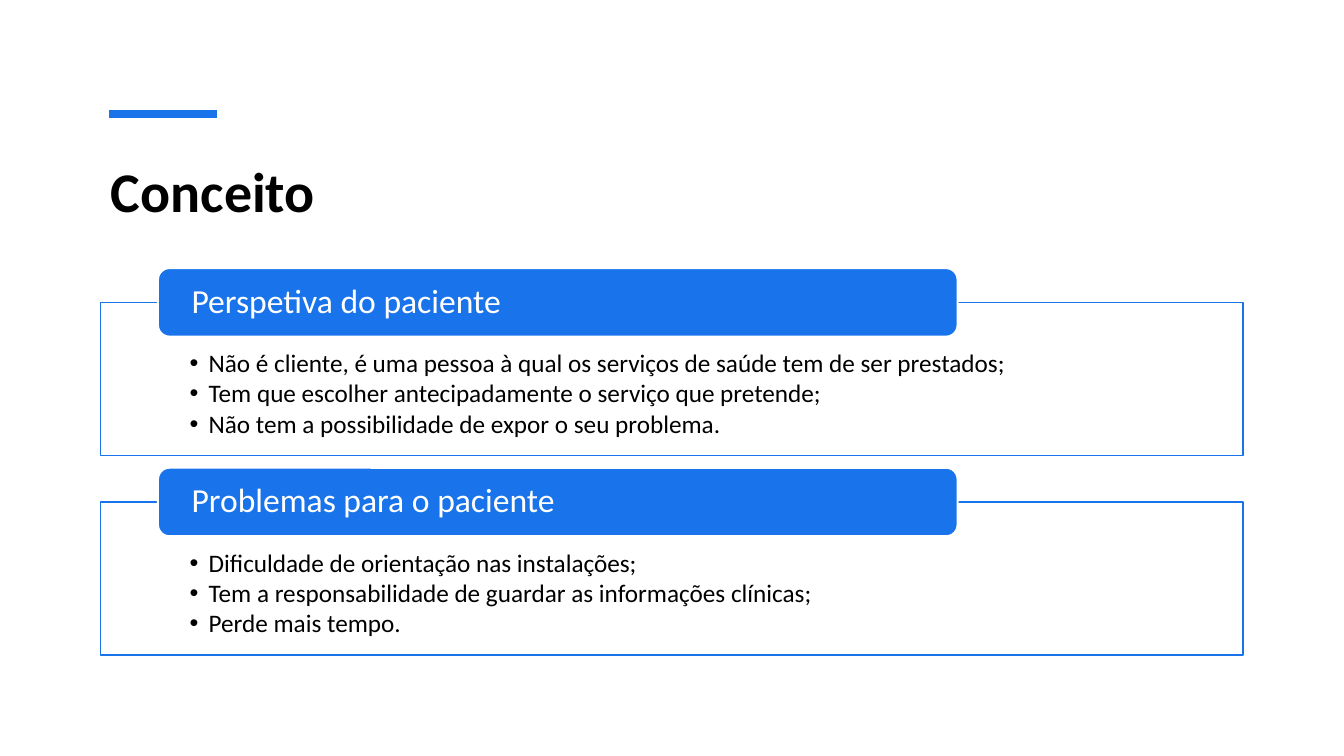
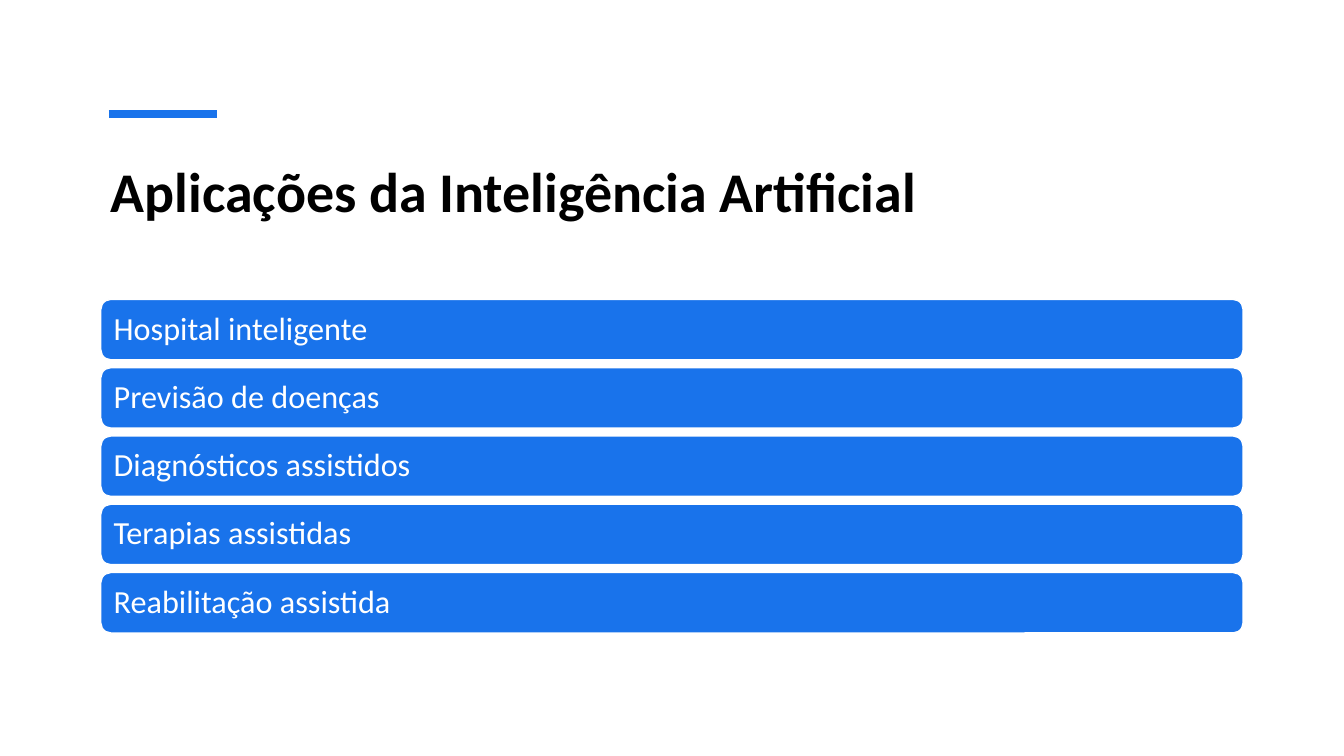
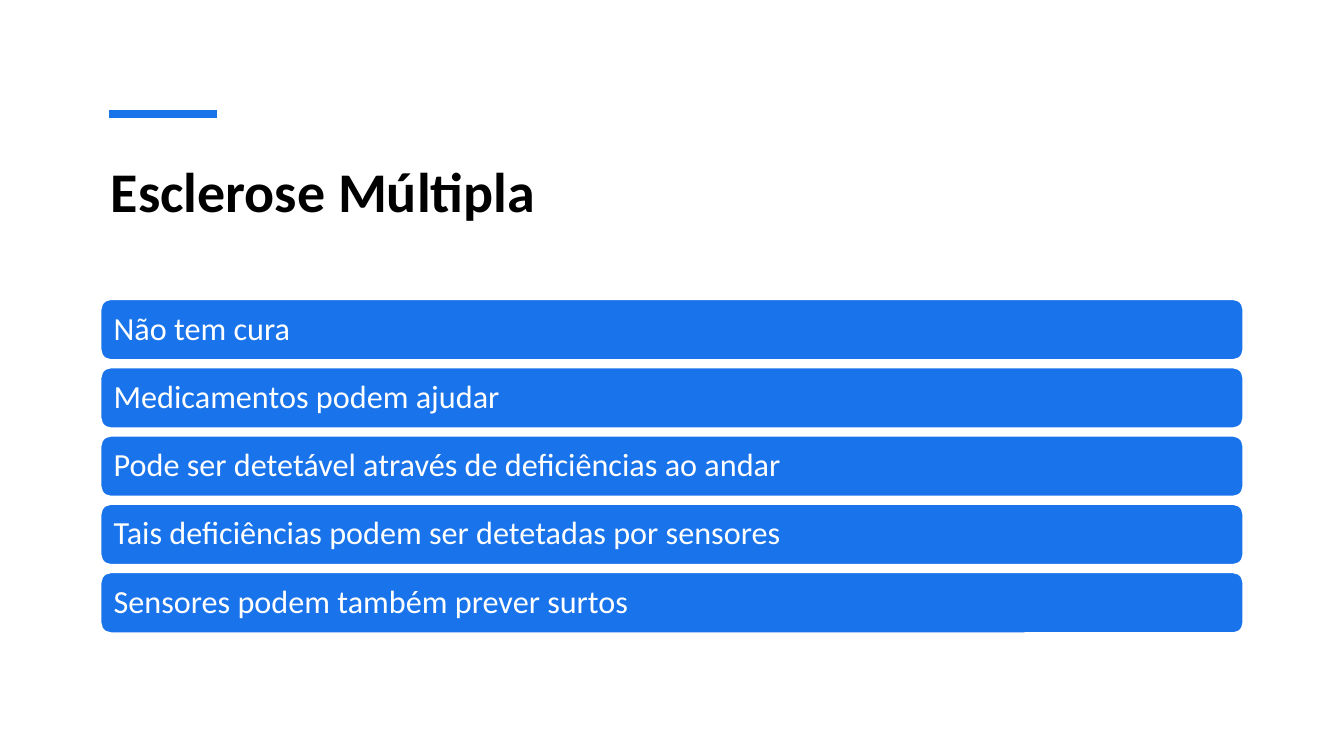
from lxml.etree import SubElement
from pptx import Presentation
from pptx.dml.color import RGBColor
from pptx.enum.shapes import MSO_CONNECTOR, MSO_SHAPE
from pptx.enum.text import MSO_ANCHOR, PP_ALIGN
from pptx.oxml.ns import qn
from pptx.util import Inches, Pt

CONCEPT = ("Conceito", [
    ("Perspetiva do paciente", [
        "Não é cliente, é uma pessoa à qual os serviços de saúde tem de ser prestados;",
        "Tem que escolher antecipadamente o serviço que pretende;",
        "Não tem a possibilidade de expor o seu problema.",
    ]),
    ("Problemas para o paciente", [
        "Dificuldade de orientação nas instalações;",
        "Tem a responsabilidade de guardar as informações clínicas;",
        "Perde mais tempo.",
    ]),
])
TOPICS = [
    ("Aplicações da Inteligência Artificial", [
        "Hospital inteligente",
        "Previsão de doenças",
        "Diagnósticos assistidos",
        "Terapias assistidas",
        "Reabilitação assistida",
    ]),
    ("Esclerose Múltipla", [
        "Não tem cura",
        "Medicamentos podem ajudar",
        "Pode ser detetável através de deficiências ao andar",
        "Tais deficiências podem ser detetadas por sensores",
        "Sensores podem também prever surtos",
    ]),
]

COLORS = {"accent": "1973EB", "paper": "FFFFFF", "ink": "000000"}
FONT = "Calibri"
WIDTH, HEIGHT = 13.33, 7.5
MARGIN = 1
CONTENT_WIDTH = WIDTH - 2 * MARGIN


def color(name):
    return RGBColor.from_string(COLORS[name])


def write(shape, lines, size, ink="paper", bold=False, anchor=MSO_ANCHOR.MIDDLE,
          insets=(0.1, 0.1, 0.1, 0.1), spacing=0.9, after=0, hanging=0):
    frame = shape.text_frame
    frame.word_wrap = True
    frame.vertical_anchor = anchor
    (frame.margin_left, frame.margin_top,
     frame.margin_right, frame.margin_bottom) = map(Inches, insets)
    frame.text = "\n".join(lines)
    for paragraph in frame.paragraphs:
        paragraph.alignment = PP_ALIGN.LEFT
        paragraph.line_spacing = spacing
        paragraph.space_before = Pt(0)
        paragraph.space_after = Pt(after)
        paragraph.font.name = FONT
        paragraph.font.size = Pt(size)
        paragraph.font.bold = bold
        paragraph.font.color.rgb = color(ink)
        if hanging:
            properties = paragraph._p.get_or_add_pPr()
            properties.set("marL", str(Inches(hanging)))
            properties.set("indent", str(-Inches(hanging)))
            bullet_font = properties.makeelement(qn("a:buFont"), {"typeface": "Arial"})
            bullet = properties.makeelement(qn("a:buChar"), {"char": "•"})
            default_run = properties.find(qn("a:defRPr"))
            for mark in (bullet_font, bullet):
                if default_run is None:
                    properties.append(mark)
                else:
                    default_run.addprevious(mark)


def add_box(slide, kind, left, top, width, height, fill, outline, weight):
    box = slide.shapes.add_shape(kind, *map(Inches, (left, top, width, height)))
    box.shadow.inherit = False
    box.fill.solid()
    box.fill.fore_color.rgb = color(fill)
    box.line.color.rgb = color(outline)
    box.line.width = Pt(weight)
    return box


def add_titled_slide(deck, heading):
    slide = deck.slides.add_slide(deck.slide_layouts[5])
    title = slide.shapes.title
    title.left, title.top, title.width, title.height = map(
        Inches, (MARGIN, HEIGHT * 0.2, CONTENT_WIDTH, 1.44))
    write(title, [heading], 40, ink="ink", bold=True, anchor=MSO_ANCHOR.TOP,
          insets=(0.1, 0.05, 0.1, 0.05), spacing=1)
    accent = slide.shapes.add_connector(
        MSO_CONNECTOR.STRAIGHT, *map(Inches, (1.08, 1.13, 2.15, 1.13)))
    accent.line.color.rgb = color("accent")
    accent.line.width = Pt(6)
    SubElement(accent.element.spPr, qn("a:effectLst"))
    return slide


def add_panels(slide, panels, top=3, pitch=1.98, height=1.52, tab_height=0.68):
    for row, (heading, points) in enumerate(panels):
        panel_top = top + row * pitch
        panel = add_box(slide, MSO_SHAPE.RECTANGLE, MARGIN, panel_top,
                        CONTENT_WIDTH, height, "paper", "accent", 1)
        write(panel, points, 18, ink="ink", anchor=MSO_ANCHOR.TOP,
              insets=(0.88, 0.48, 0.88, 0.14), after=2.2, hanging=0.19)
        tab = add_box(slide, MSO_SHAPE.ROUNDED_RECTANGLE,
                      MARGIN + CONTENT_WIDTH * 0.05, panel_top - tab_height / 2,
                      CONTENT_WIDTH * 0.7, tab_height, "accent", "paper", 1.5)
        write(tab, [heading], 24, insets=(0.3, 0, 0.3, 0))


def add_bars(slide, topics, top=2.97, bottom=6.28, height=0.6):
    pitch = (bottom - top - height) / (len(topics) - 1)
    for row, topic in enumerate(topics):
        bar = add_box(slide, MSO_SHAPE.ROUNDED_RECTANGLE, MARGIN, top + row * pitch,
                      CONTENT_WIDTH, height, "accent", "paper", 1)
        write(bar, [topic], 23)


def main():
    deck = Presentation()
    deck.slide_width, deck.slide_height = Inches(WIDTH), Inches(HEIGHT)
    heading, panels = CONCEPT
    add_panels(add_titled_slide(deck, heading), panels)
    for heading, topics in TOPICS:
        add_bars(add_titled_slide(deck, heading), topics)
    deck.save("out.pptx")


if __name__ == "__main__":
    main()
